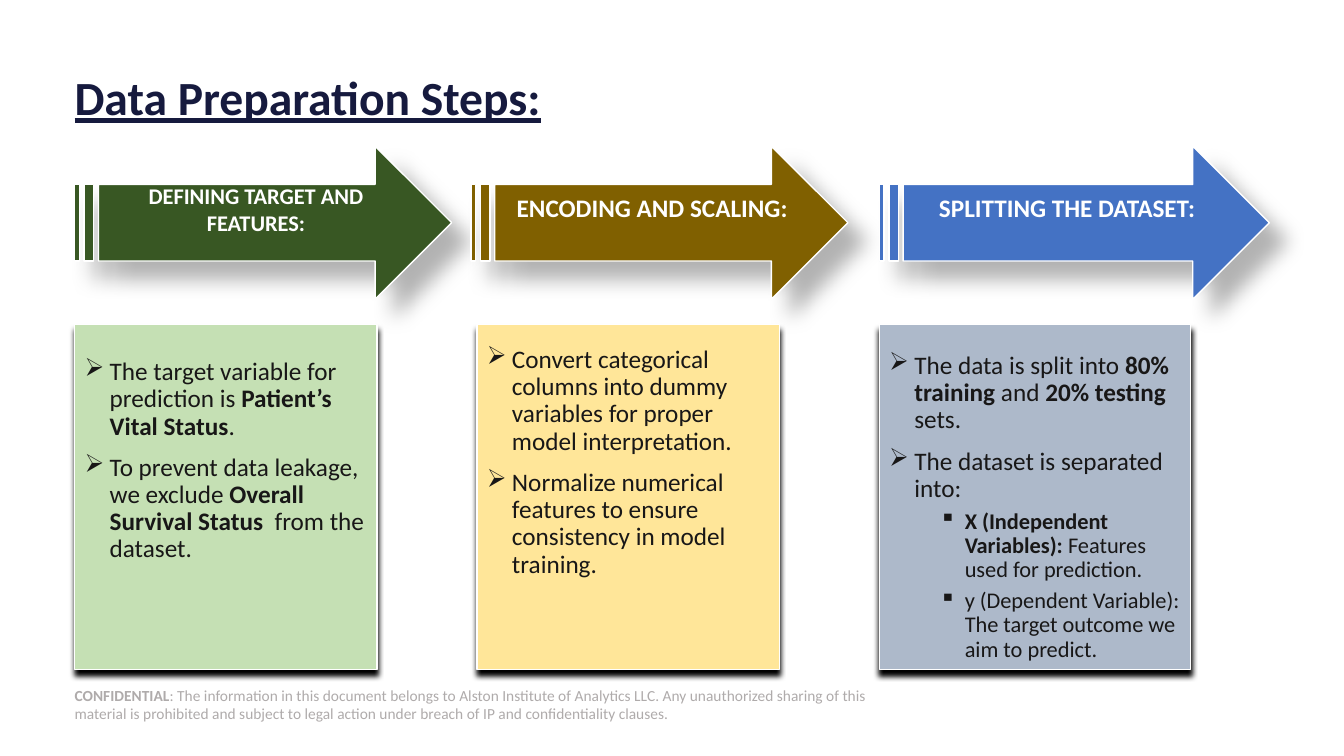
from dataclasses import dataclass

from lxml.etree import SubElement
from pptx import Presentation
from pptx.dml.color import RGBColor
from pptx.enum.shapes import MSO_SHAPE as Preset
from pptx.enum.text import MSO_ANCHOR as Anchor, PP_ALIGN as Align
from pptx.oxml.ns import qn
from pptx.util import Inches, Pt


@dataclass(frozen=True)
class Theme:
    font: str = "Calibri"
    white: str = "FFFFFF"
    title: str = "161A3E"
    body: str = "181717"
    muted: str = "AFABAB"
    shadow: str = "000000"
    title_size: int = 34
    body_size: int = 18
    detail_size: int = 16
    footer_size: int = 11


@dataclass(frozen=True)
class Area:
    """A rectangle in percent of the slide's width and height."""
    left: float
    top: float
    width: float
    height: float


@dataclass(frozen=True)
class Shadow:
    opacity: int
    blur: int
    distance: int
    angle: int


@dataclass(frozen=True)
class Bullet:
    text: str
    level: int = 0


@dataclass(frozen=True)
class Step:
    heading: str
    heading_size: int
    arrow_left: float
    arrow_width: float
    arrow_fill: str
    card_left: float
    card_width: float
    card_fill: str
    card_padding: float
    bullets: tuple[Bullet, ...]


THEME = Theme()
MARGIN = 5.55
ARROW_TOP, ARROW_HEIGHT = 19.33, 20.27
CARD_TOP, CARD_HEIGHT = 42.93, 45.6
INSET = 0.05
LINE_HEIGHT = 1.22
ARROW_SHADOW = Shadow(30, 15, 18, 45)
CARD_SHADOW = Shadow(100, 4, 4, 90)
BULLET_MARKS = ("➢", "▪")

STEPS = (
    Step("DEFINING TARGET AND FEATURES:", THEME.detail_size, MARGIN, 28.06, "385723",
         MARGIN, 22.51, "C5E0B4", 0.34, (
             Bullet("The target variable for prediction is **Patient’s Vital Status**."),
             Bullet("To prevent data leakage, we exclude **Overall Survival Status ** from the dataset."),
         )),
    Step("ENCODING AND SCALING:", THEME.body_size, 35.03, 28.06, "806000",
         35.48, 22.51, "FFE699", 0.22, (
             Bullet("Convert categorical columns into dummy variables for proper model interpretation."),
             Bullet("Normalize numerical features to ensure consistency in model training."),
         )),
    Step("SPLITTING THE DATASET:", THEME.body_size, 65.42, 29.03, "4472C4",
         65.42, 23.18, "ADB9CA", 0.28, (
             Bullet("The data is split into **80% training** and **20% testing** sets."),
             Bullet("The dataset is separated into:"),
             Bullet("**X (Independent Variables):** Features used for prediction.", 1),
             Bullet("y (Dependent Variable): The target outcome we aim to predict.", 1),
         )),
)

deck = Presentation()
deck.slide_width, deck.slide_height = Inches(13.33), Inches(7.5)
page = deck.slides.add_slide(deck.slide_layouts[6])


def place(area: Area) -> tuple[int, int, int, int]:
    """Turn percentages into left, top, width and height."""
    across, down = deck.slide_width / 100, deck.slide_height / 100
    return (round(area.left * across), round(area.top * down),
            round(area.width * across), round(area.height * down))


def add_filled(preset: Preset, area: Area, fill: str):
    shape = page.shapes.add_shape(preset, *place(area))
    shape.shadow.inherit = False
    shape.fill.solid()
    shape.fill.fore_color.rgb = RGBColor.from_string(fill)
    shape.line.fill.background()
    shape.text_frame.word_wrap = True
    return shape


def add_raised(preset: Preset, area: Area, fill: str, shadow: Shadow):
    """Add a white-edged shape with an outer shadow."""
    shape = add_filled(preset, area, fill)
    shape.line.color.rgb = RGBColor.from_string(THEME.white)
    shape.line.width = Pt(1)
    effects = shape.element.spPr.find(qn("a:effectLst"))
    outer = SubElement(effects, qn("a:outerShdw"), blurRad=str(Pt(shadow.blur)),
                       dist=str(Pt(shadow.distance)), dir=str(shadow.angle * 60000),
                       algn="ctr", rotWithShape="0")
    color = SubElement(outer, qn("a:srgbClr"), val=THEME.shadow)
    SubElement(color, qn("a:alpha"), val=str(shadow.opacity * 1000))
    return shape


def style(para, size: int, color: str, align: Align = Align.LEFT) -> None:
    para.alignment = align
    para.font.name = THEME.font
    para.font.size = Pt(size)
    para.font.color.rgb = RGBColor.from_string(color)


def write(para, text: str) -> None:
    """Add runs; parts between double asterisks are bold."""
    for index, part in enumerate(text.split("**")):
        if part:
            span = para.add_run()
            span.text = part
            span.font.bold = index % 2 == 1


def set_insets(frame, inset: float) -> None:
    frame.margin_left = frame.margin_right = Inches(inset)
    frame.margin_top = frame.margin_bottom = Inches(inset)


def write_bullet(para, bullet: Bullet) -> None:
    properties = para._p.get_or_add_pPr()
    properties.set("marL", str(Inches(0.25 + 0.5 * bullet.level)))
    properties.set("indent", str(Inches(-0.25)))
    SubElement(properties, qn("a:buChar"), char=BULLET_MARKS[bullet.level])
    para.level = bullet.level
    para.line_spacing = 0.9
    style(para, (THEME.body_size, THEME.detail_size)[bullet.level], THEME.body)
    write(para, bullet.text)


def add_title() -> None:
    box = page.shapes.add_textbox(*place(Area(MARGIN, 8.8, 88.9, 8.93)))
    frame = box.text_frame
    frame.word_wrap = True
    frame.vertical_anchor = Anchor.MIDDLE
    set_insets(frame, 0)
    para = frame.paragraphs[0]
    para.line_spacing = 0.9
    style(para, THEME.title_size, THEME.title)
    para.font.underline = True
    write(para, "**Data Preparation Steps:**")


def add_footer() -> None:
    box = add_filled(Preset.RECTANGLE, Area(MARGIN, 90.53, 61.29, 5.33), THEME.white)
    set_insets(box.text_frame, 0)
    para = box.text_frame.paragraphs[0]
    style(para, THEME.footer_size, THEME.muted)
    write(para, "**CONFIDENTIAL**: The information in this document belongs to "
                "Alston Institute of Analytics LLC. Any unauthorized sharing of this "
                "material is prohibited and subject to legal action under breach of IP "
                "and confidentiality clauses.")


def add_arrow(step: Step) -> None:
    area = Area(step.arrow_left, ARROW_TOP, step.arrow_width, ARROW_HEIGHT)
    arrow = add_raised(Preset.STRIPED_RIGHT_ARROW, area, step.arrow_fill, ARROW_SHADOW)
    frame = arrow.text_frame
    frame.vertical_anchor = Anchor.MIDDLE
    frame.margin_bottom = Inches(INSET) + Pt(step.heading_size * LINE_HEIGHT)
    style(frame.paragraphs[0], step.heading_size, THEME.white, Align.CENTER)
    write(frame.paragraphs[0], f"**{step.heading}**")


def add_card(step: Step) -> None:
    area = Area(step.card_left, CARD_TOP, step.card_width, CARD_HEIGHT)
    card = add_raised(Preset.RECTANGLE, area, step.card_fill, CARD_SHADOW)
    frame = card.text_frame
    frame.vertical_anchor = Anchor.TOP
    frame.margin_top = Inches(step.card_padding)
    for index, bullet in enumerate(step.bullets):
        para = frame.add_paragraph() if index else frame.paragraphs[0]
        para.space_before = Pt((10, 5)[bullet.level] if index else 0)
        write_bullet(para, bullet)


def main() -> None:
    add_footer()
    add_title()
    for step in STEPS:
        add_arrow(step)
        add_card(step)
    deck.save("out.pptx")


if __name__ == "__main__":
    main()
